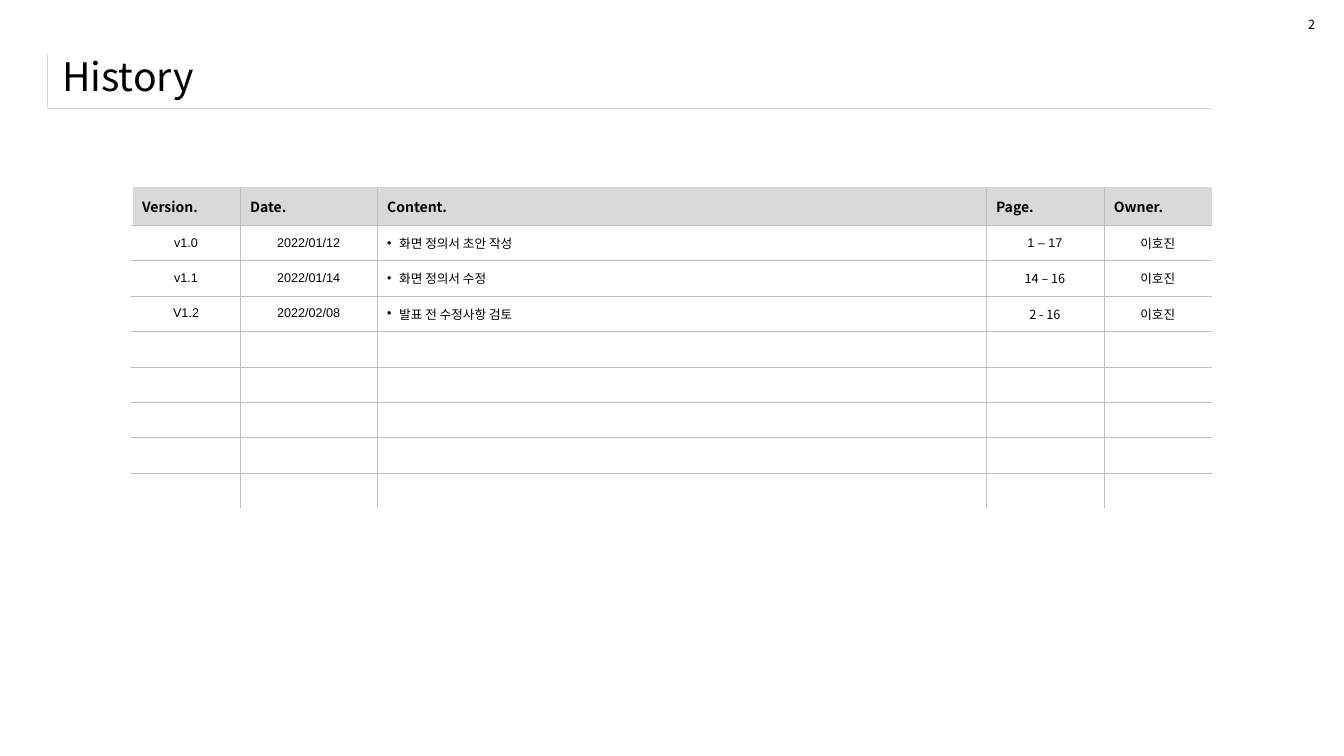
"""Build the document history slide with its version table."""
import dataclasses
import typing

import lxml.etree
import pptx
import pptx.dml.color
import pptx.enum.text
import pptx.oxml.ns
import pptx.util

Pt = pptx.util.Pt
qn = pptx.oxml.ns.qn
ALIGN = pptx.enum.text.PP_ALIGN
MIDDLE = pptx.enum.text.MSO_ANCHOR.MIDDLE
SANS, ARIAL = "Noto Sans CJK KR", "Arial"
BLACK, WHITE, RULE_GREY, HEADER_GREY = "000000", "FFFFFF", "BFBFBF", "D9D9D9"


@dataclasses.dataclass(frozen=True)
class Box:
    left: float
    top: float
    width: float
    height: float

    def lengths(self) -> list:
        return [Pt(value) for value in dataclasses.astuple(self)]


@dataclasses.dataclass(frozen=True)
class Border:
    color: str
    width: float


@dataclasses.dataclass(frozen=True)
class Column:
    heading: str
    width: float
    font: str
    bulleted: bool = False


@dataclasses.dataclass(frozen=True)
class Revision:
    version: str
    date: str
    content: str
    pages: str
    owner: str
    pages_font: str = SANS


THIN = Border(RULE_GREY, 0.25)
BLANK_EDGE = Border(WHITE, 1)
TITLE_RULE = Border(HEADER_GREY, 0.25)

COLUMNS = [
    Column("Version.", 77.2, ARIAL),
    Column("Date.", 97.9, ARIAL),
    Column("Content.", 434.9, SANS, bulleted=True),
    Column("Page.", 84.2, SANS),
    Column("Owner.", 77, SANS),
]
REVISIONS = [
    Revision("v1.0", "2022/01/12", "화면 정의서 초안 작성", "1 – 17", "이호진", ARIAL),
    Revision("v1.1", "2022/01/14", "화면 정의서 수정", "14 – 16", "이호진"),
    Revision("V1.2", "2022/02/08", "발표 전 수정사항 검토", "2 - 16", "이호진"),
]
BODY_ROWS = 8
HEADER_HEIGHT, ROW_HEIGHT = 26.9, 25.3


def rgb(value: str) -> pptx.dml.color.RGBColor:
    """Turn a hex string into a colour."""
    return pptx.dml.color.RGBColor.from_string(value)


def write(frame, text: str, size: float, font: str, bold: bool = False):
    """Set a one-paragraph text, format it and return the paragraph."""
    frame.text = text
    paragraph = frame.paragraphs[0]
    for run in paragraph.runs:
        run.font.size = Pt(size)
        run.font.bold = bold
        run.font.color.rgb = rgb(BLACK)
        run.font.name = font
        lxml.etree.SubElement(run.font._element, qn("a:ea"), typeface=font)
    if not text:
        lxml.etree.SubElement(paragraph._p, qn("a:endParaRPr"), sz=str(size * 100))
    return paragraph


def add_bullet(paragraph) -> None:
    """Give a paragraph a round bullet with a hanging indent."""
    properties = paragraph._p.get_or_add_pPr()
    properties.set("marL", str(Pt(8.6)))
    properties.set("indent", str(-Pt(8.6)))
    lxml.etree.SubElement(properties, qn("a:buFont"), typeface=ARIAL)
    lxml.etree.SubElement(properties, qn("a:buChar"), char="•")


def style_cell(cell, borders: dict[str, Border], fill: typing.Optional[str] = None) -> None:
    """Set the four borders of a cell, then its fill and anchor."""
    properties = cell._tc.get_or_add_tcPr()
    for side in "LRTB":
        border = borders.get(side)
        line = lxml.etree.SubElement(properties, qn(f"a:ln{side}"))
        if border is None:
            lxml.etree.SubElement(line, qn("a:noFill"))
            continue
        line.set("w", str(Pt(border.width)))
        paint = lxml.etree.SubElement(line, qn("a:solidFill"))
        lxml.etree.SubElement(paint, qn("a:srgbClr"), val=border.color)
    if fill:
        cell.fill.solid()
        cell.fill.fore_color.rgb = rgb(fill)
    else:
        cell.fill.background()
    cell.vertical_anchor = MIDDLE


def add_plain_table(slide, rows: int, columns: int, box: Box):
    """Add a table without header or band styling."""
    table = slide.shapes.add_table(rows, columns, *box.lengths()).table
    table.first_row = False
    table.horz_banding = False
    return table


def add_label(slide, box: Box, text: str, size: float, wrap: bool):
    """Add a text box and return its frame."""
    frame = slide.shapes.add_textbox(*box.lengths()).text_frame
    frame.word_wrap = wrap
    write(frame, text, size, SANS)
    return frame


def history_borders(row: int, column: int) -> dict[str, Border]:
    """Work out the borders of a history cell from its place."""
    borders = {
        "L": THIN if column else BLANK_EDGE,
        "B": THIN if row < BODY_ROWS else BLANK_EDGE,
    }
    if column < len(COLUMNS) - 1:
        borders["R"] = THIN
    if row:
        borders["T"] = THIN
    return borders


def add_history(slide) -> None:
    """Add the version history table."""
    width = sum(column.width for column in COLUMNS)
    height = HEADER_HEIGHT + BODY_ROWS * ROW_HEIGHT
    history = add_plain_table(slide, BODY_ROWS + 1, len(COLUMNS), Box(94.3, 133.9, width, height))
    for row_index, row in enumerate(history.rows):
        row.height = Pt(ROW_HEIGHT if row_index else HEADER_HEIGHT)
    for index, column in enumerate(COLUMNS):
        history.columns[index].width = Pt(column.width)
        heading = history.cell(0, index)
        write(heading.text_frame, column.heading, 10, SANS, bold=True)
        style_cell(heading, history_borders(0, index), HEADER_GREY)
        for row_index in range(1, BODY_ROWS + 1):
            cell = history.cell(row_index, index)
            style_cell(cell, history_borders(row_index, index))
            if row_index > len(REVISIONS):
                write(cell.text_frame, "", 9, column.font)
                continue
            revision = REVISIONS[row_index - 1]
            entries = dataclasses.astuple(revision)
            font = revision.pages_font if column.heading == "Page." else column.font
            entry = write(cell.text_frame, entries[index], 9, font)
            if column.bulleted:
                add_bullet(entry)
            else:
                entry.alignment = ALIGN.CENTER


def main() -> None:
    """Build and save the slide."""
    deck = pptx.Presentation()
    deck.slide_width, deck.slide_height = Pt(960), Pt(540)
    slide = deck.slides.add_slide(deck.slide_layouts[6])
    title_frame = add_plain_table(slide, 1, 1, Box(33.8, 38.9, 832.3, 38.2))
    style_cell(title_frame.cell(0, 0), {"L": TITLE_RULE, "B": TITLE_RULE})
    title = add_label(slide, Box(37.4, 31.7, 899.3, 45.4), "History", 28, wrap=True)
    title.vertical_anchor = MIDDLE
    add_history(slide)
    page_number = add_label(slide, Box(927.4, 8.6, 19.4, 18), "2", 9, wrap=False)
    page_number.auto_size = pptx.enum.text.MSO_AUTO_SIZE.SHAPE_TO_FIT_TEXT
    deck.save("out.pptx")


if __name__ == "__main__":
    main()
